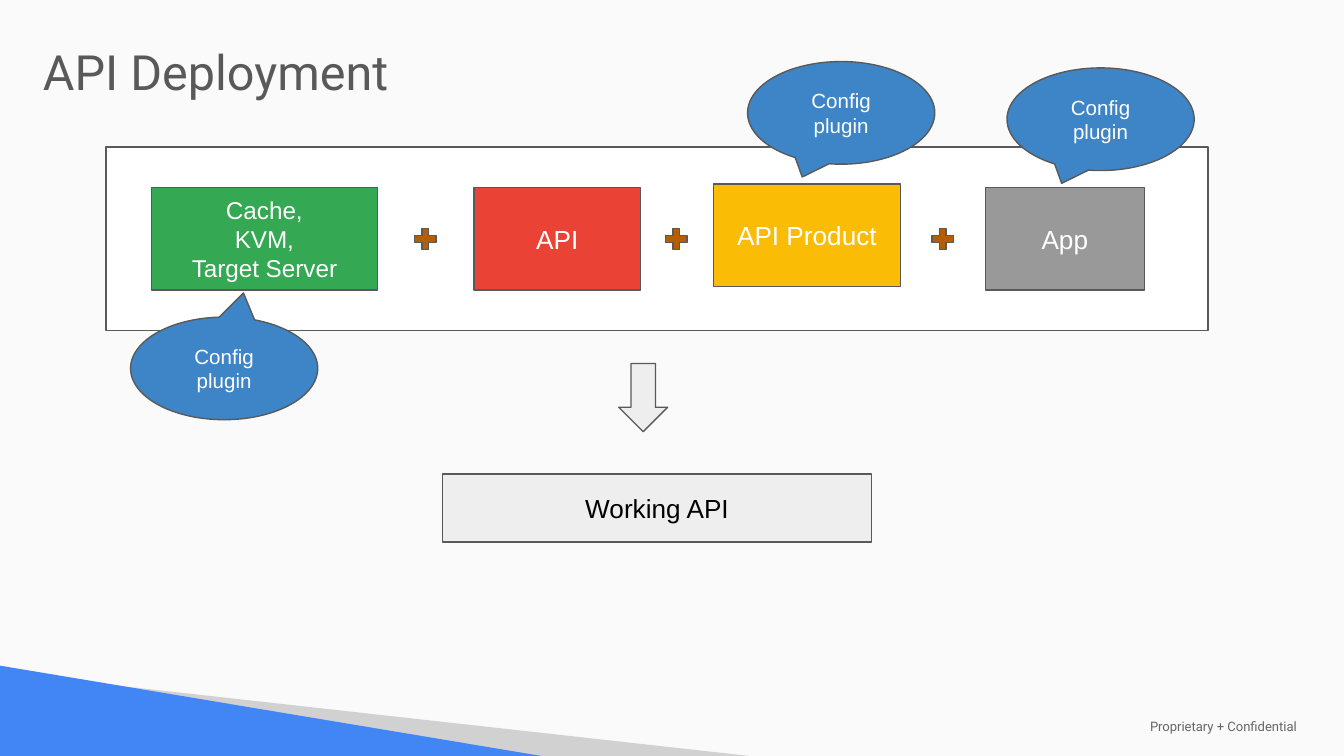
import pptx
import pptx.util
import pptx.dml.color
import pptx.enum.shapes
import pptx.enum.text

Pt = pptx.util.Pt
SHAPE = pptx.enum.shapes.MSO_SHAPE
ALIGN = pptx.enum.text.PP_ALIGN
GRAY, WHITE, BLUE, PALE = "595959", "FFFFFF", "3D85C6", "EEEEEE"

TITLE = "API Deployment"
FOOTER = "Proprietary + Confidential"
WEDGES = [
    ("D1D1D1", [(61.5, 367.2), (401.5, 405), (288.5, 405)]),
    ("4285F4", [(0, 356.6), (0, 405), (290, 405)]),
]
FRAME = (56.9, 78.7, 590.3, 98.6)
STEPS = [
    (["Cache,", "KVM,", "Target Server"], "34A853", 13, (81.1, 100.5, 121, 55)),
    (["API"], "EA4335", 14, (254, 100.5, 89.1, 55)),
    (["API Product"], "FBBC05", 14, (382.2, 98.5, 100.3, 55)),
    (["App"], "999999", 14, (527.8, 100.5, 85.3, 55)),
]
PLUS_LEFTS = [220.1, 354.5, 497.3]
RESULT = (["Working API"], (237.1, 253.9, 229.8, 36.5))
ARROW = (331.5, 194.8, 26.2, 36.5)
CALLOUT = "Config plugin"
CALLOUTS = [
    (539.5, 36.4, -0.208, 0.625),
    (400.5, 33, -0.208, 0.625),
    (70, 169.9, 0.103, -0.736),
]


def rgb(color):
    return pptx.dml.color.RGBColor.from_string(color)


def paint(sp, fill, line=GRAY):
    sp.shadow.inherit = False
    sp.fill.solid()
    sp.fill.fore_color.rgb = rgb(fill)
    if line:
        sp.line.color.rgb = rgb(line)
        sp.line.width = Pt(0.75)
    else:
        sp.line.fill.background()


def write(sp, lines, size, color, font="Arial", align=ALIGN.CENTER, inset=(7.2, 7.2)):
    tf = sp.text_frame
    side, top = map(Pt, inset)
    frame = dict(word_wrap=True, auto_size=pptx.enum.text.MSO_AUTO_SIZE.NONE,
                 vertical_anchor=pptx.enum.text.MSO_ANCHOR.MIDDLE,
                 margin_left=side, margin_right=side, margin_top=top, margin_bottom=top)
    for name, value in frame.items():
        setattr(tf, name, value)
    for i, line in enumerate(lines):
        p = tf.add_paragraph() if i else tf.paragraphs[0]
        p.alignment = align
        r = p.add_run()
        r.text = line
        for name, value in dict(size=Pt(size), name=font, bold=False).items():
            setattr(r.font, name, value)
        r.font.color.rgb = rgb(color)


def shape(s, kind, box, fill, adjust=()):
    sp = s.shapes.add_shape(kind, *map(Pt, box))
    for i, value in enumerate(adjust):
        sp.adjustments[i] = value
    paint(sp, fill)
    return sp


def main():
    prs = pptx.Presentation()
    prs.slide_width, prs.slide_height = Pt(720), Pt(405)
    s = prs.slides.add_slide(prs.slide_layouts[5])
    s.background.fill.solid()
    s.background.fill.fore_color.rgb = rgb("FAFAFA")

    title = s.shapes.title
    for name, value in dict(left=18, top=27.4, width=532, height=21.6).items():
        setattr(title, name, Pt(value))
    write(title, [TITLE], 26, GRAY, "Roboto", ALIGN.LEFT, (5, 2.9))

    for color, points in WEDGES:
        start, *rest = [(Pt(x), Pt(y)) for x, y in points]
        builder = s.shapes.build_freeform(*start)
        builder.add_line_segments(rest, close=True)
        paint(builder.convert_to_shape(), color, None)

    footer = s.shapes.add_textbox(Pt(609), Pt(383.8), Pt(107.3), Pt(10))
    write(footer, [FOOTER], 7, "666666", "Roboto", ALIGN.LEFT)

    shape(s, SHAPE.RECTANGLE, FRAME, WHITE)
    for lines, fill, size, box in STEPS:
        write(shape(s, SHAPE.RECTANGLE, box, fill), lines, size, WHITE)
    for left in PLUS_LEFTS:
        shape(s, SHAPE.MATH_PLUS, (left, 120.4, 15.6, 15.4), "B45F06", [0.235])

    shape(s, SHAPE.DOWN_ARROW, ARROW, PALE, [0.5, 0.5])
    lines, box = RESULT
    write(shape(s, SHAPE.RECTANGLE, box, PALE), lines, 14, "000000")

    for left, top, *tip in CALLOUTS:
        box = (left, top, 100.3, 55)
        write(shape(s, SHAPE.OVAL_CALLOUT, box, BLUE, tip), [CALLOUT], 11, WHITE)

    prs.save("out.pptx")


if __name__ == "__main__":
    main()
